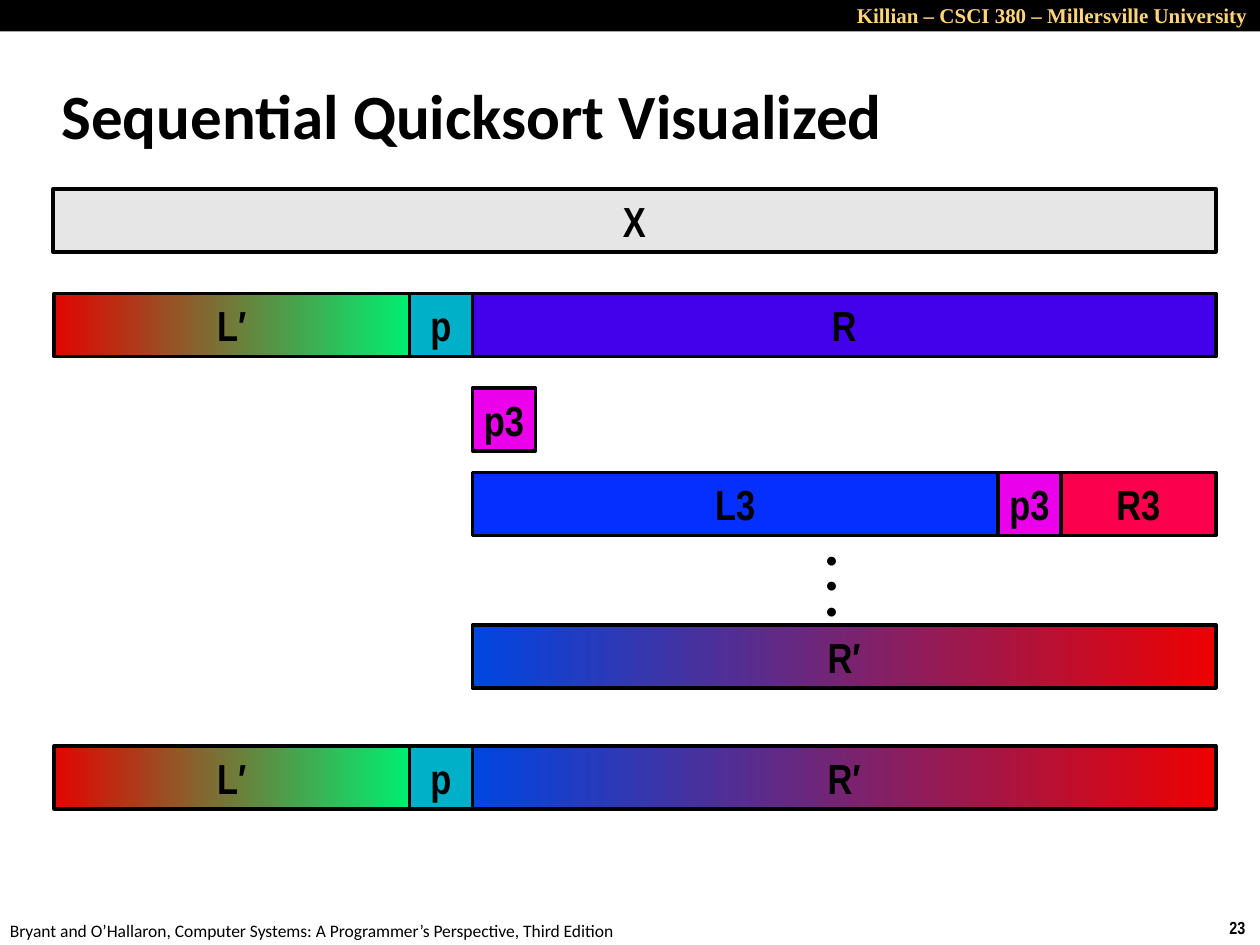
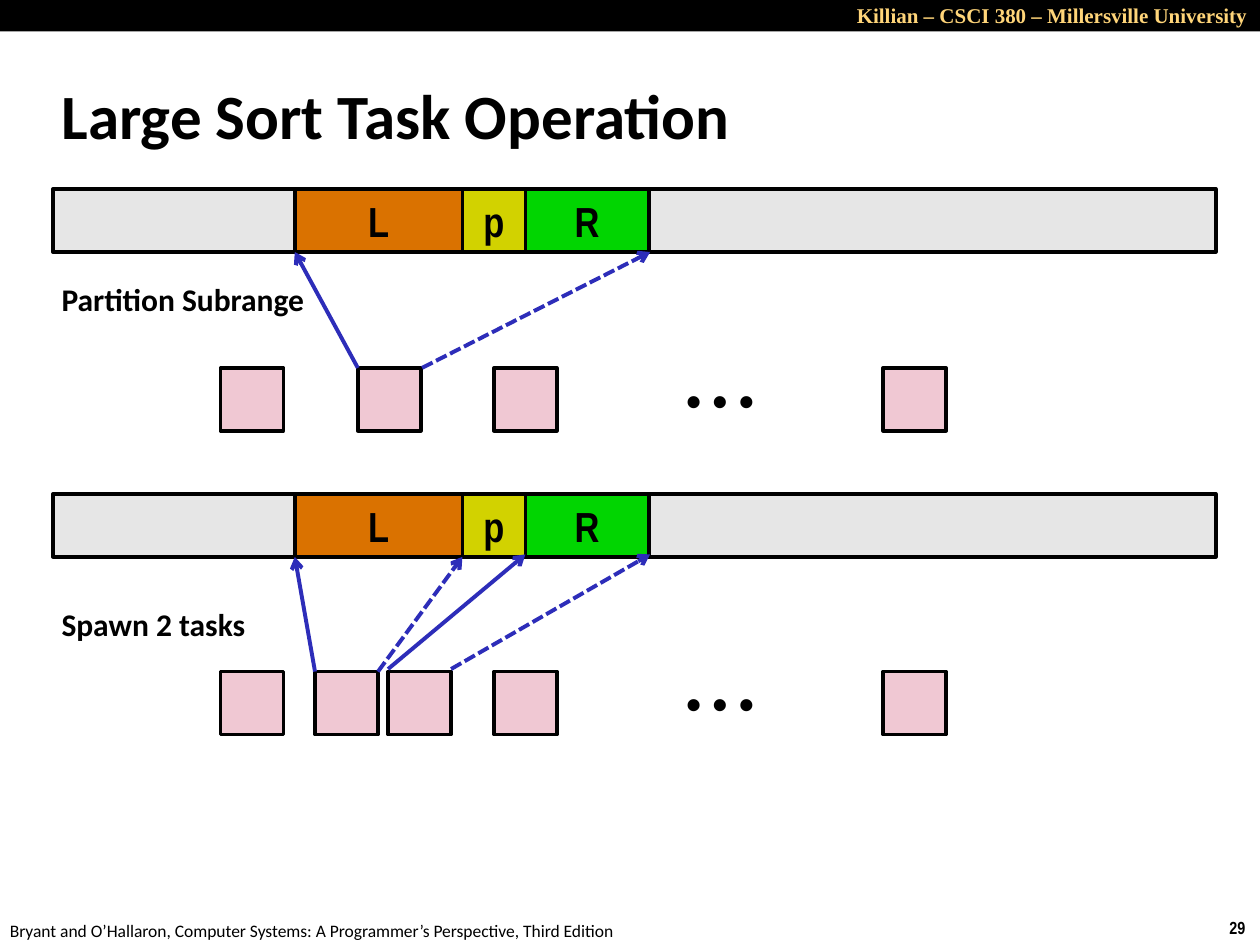
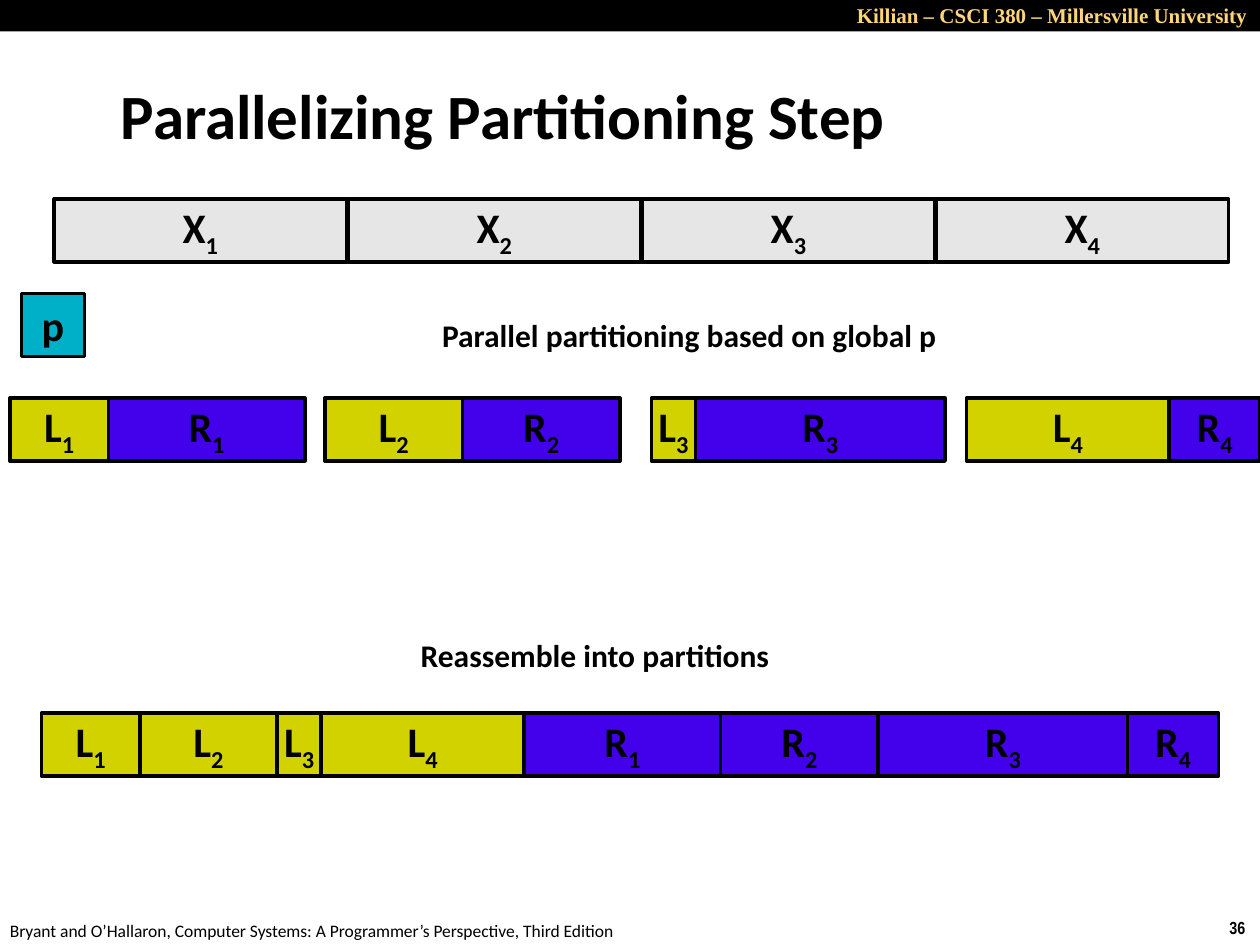
from dataclasses import dataclass
from itertools import chain

from lxml.etree import SubElement
from pptx import Presentation
from pptx.dml.color import RGBColor
from pptx.enum.dml import MSO_LINE
from pptx.enum.shapes import MSO_CONNECTOR, MSO_SHAPE
from pptx.enum.text import MSO_ANCHOR, MSO_AUTO_SIZE, PP_ALIGN
from pptx.oxml.ns import qn
from pptx.util import Inches, Pt


@dataclass(frozen=True)
class Theme:
    """Colours, fonts and sizes shared by the slides."""

    black: str = "000000"
    gold: str = "FFD579"
    grey: str = "E6E6E6"
    pink: str = "F0C8D3"
    teal: str = "00B0C8"
    violet: str = "4300EA"
    magenta: str = "EA00EA"
    blue: str = "052FFF"
    crimson: str = "FA004D"
    orange: str = "DA7200"
    yellow: str = "D2D200"
    green: str = "01D501"
    arrow: str = "2D2DB9"
    sorted_left: tuple = ("E10601", "00EE71")
    sorted_right: tuple = ("0046E2", "ED0101")
    body: str = "Calibri"
    narrow: str = "Arial Narrow"
    serif: str = "Times New Roman"
    sans: str = "Arial"
    title_size: int = 36
    label_size: int = 24
    caption_size: int = 18
    header_size: int = 12
    footer_size: int = 10
    outline: float = 2
    arrow_width: float = 2.25


@dataclass(frozen=True)
class Box:
    """A rectangle in inches."""

    left: float
    top: float
    width: float
    height: float

    def inner(self, left, top, width, height):
        """Return a box placed relative to this one."""
        return Box(self.left + left, self.top + top, width, height)

    def lengths(self):
        """Return the four lengths that shape methods expect."""
        return [Inches(value) for value in (self.left, self.top, self.width, self.height)]


THEME = Theme()
SLIDE = Box(0, 0, 10, 7.5)
CELL = 0.5
BAR_WIDTH = 9.23
LEFT_WIDTHS = [0.78, 1.09, 0.35, 1.61]
RIGHT_WIDTHS = [1.56, 1.25, 1.98, 0.72]


def assign(target, values):
    """Set every attribute named in a dict of format values."""
    for name, value in values.items():
        setattr(target, name, value)


def write(shape, lines, font, size, color=THEME.black, bold=True, align=None, frame=None):
    """Write lines of text, lowering what follows an underscore."""
    assign(shape.text_frame, {"word_wrap": False, **(frame or {})})
    for index, line in enumerate(lines):
        para = shape.text_frame.add_paragraph() if index else shape.text_frame.paragraphs[0]
        para.alignment = align
        base, _, subscript = line.partition("_")
        for text, lowered in ((base, False), (subscript, True)):
            if text:
                span = para.add_run()
                span.text = text
                assign(span.font, {"name": font, "size": Pt(size), "bold": bold})
                span.font.color.rgb = RGBColor.from_string(color)
                if lowered:
                    span.font._element.set("baseline", "-25000")


def add_text(page, box, lines, font, size, grow=True, **style):
    """Add a text box that fits its text."""
    shape = page.shapes.add_textbox(*box.lengths())
    frame = style.pop("frame", {})
    if grow:
        frame = {"auto_size": MSO_AUTO_SIZE.SHAPE_TO_FIT_TEXT, **frame}
    write(shape, lines, font, size, frame=frame, **style)


def add_cell(page, box, fill, label="", font=THEME.narrow, outlined=True):
    """Add a rectangle with a plain or two-colour fill and a centred label."""
    cell = page.shapes.add_shape(MSO_SHAPE.RECTANGLE, *box.lengths())
    cell.shadow.inherit = False
    if isinstance(fill, tuple):
        cell.fill.gradient()
        cell.fill.gradient_angle = 0
        for stop, color, position in zip(cell.fill.gradient_stops, fill, (0, 1)):
            stop.color.rgb = RGBColor.from_string(color)
            stop.position = position
    else:
        cell.fill.solid()
        cell.fill.fore_color.rgb = RGBColor.from_string(fill)
    if outlined:
        cell.line.color.rgb = RGBColor.from_string(THEME.black)
        cell.line.width = Pt(THEME.outline)
    else:
        cell.line.fill.background()
    if label:
        write(cell, [label], font, THEME.label_size, align=PP_ALIGN.CENTER,
              frame={"vertical_anchor": MSO_ANCHOR.MIDDLE})


def add_row(page, box, cells, font=THEME.narrow):
    """Lay cells of (label, width, fill) side by side from the left of the box."""
    offset = 0
    for label, width, fill in cells:
        add_cell(page, box.inner(offset, 0, width, CELL), fill, label, font)
        offset += width


def add_arrow(page, start, end, dashed):
    """Add an arrow between two points."""
    arrow = page.shapes.add_connector(
        MSO_CONNECTOR.STRAIGHT, *[Inches(value) for value in (*start, *end)])
    arrow.line.color.rgb = RGBColor.from_string(THEME.arrow)
    arrow.line.width = Pt(THEME.arrow_width)
    if dashed:
        arrow.line.dash_style = MSO_LINE.SQUARE_DOT
    SubElement(arrow.line._get_or_add_ln(), qn("a:tailEnd"), type="arrow")
    SubElement(arrow._element.spPr, qn("a:effectLst"))


def add_caption(page, box, text):
    """Add a bold caption."""
    add_text(page, box, [text], THEME.body, THEME.caption_size)


def add_page(deck, box, title, number, title_left=0.39):
    """Add a slide with header band, title, footer and number."""
    page = deck.slides.add_slide(deck.slide_layouts[6])
    add_cell(page, box.inner(0, 0, box.width, 0.25), THEME.black, outlined=False)
    add_text(page, box.inner(4.5, -0.03, 5.5, 0.3),
             ["Killian – CSCI 380 – Millersville University"], THEME.serif, THEME.header_size,
             color=THEME.gold, align=PP_ALIGN.RIGHT, frame={"word_wrap": True})
    add_text(page, box.inner(title_left, 0.49, 8.3, 0.83), [title], THEME.body,
             THEME.title_size, grow=False,
             frame={"word_wrap": True, "vertical_anchor": MSO_ANCHOR.MIDDLE})
    add_text(page, box.inner(-0.02, 7.25, 5.08, 0.27),
             ["Bryant and O’Hallaron, Computer Systems: A Programmer’s Perspective, Third Edition"],
             THEME.body, THEME.footer_size, bold=False)
    add_text(page, box.inner(9.66, 7.23, 0.34, 0.27), [str(number)],
             THEME.narrow, THEME.footer_size)
    return page


def draw_quicksort(page, box):
    """Draw the stages of a sequential quicksort."""
    left = ("L′", 2.82, THEME.sorted_left)
    pivot = ("p", CELL, THEME.teal)
    right = ("R′", 5.9, THEME.sorted_right)
    third = ("p3", CELL, THEME.magenta)
    stages = [
        (0, 0, [("X", BAR_WIDTH, THEME.grey)]),
        (0.01, 0.83, [left, pivot, ("R", 5.9, THEME.violet)]),
        (3.33, 1.58, [third]),
        (3.33, 2.25, [("L3", 4.17, THEME.blue), third, ("R3", 1.23, THEME.crimson)]),
        (3.33, 3.46, [right]),
        (0.01, 4.42, [left, pivot, right]),
    ]
    for offset, drop, cells in stages:
        add_row(page, box.inner(offset, drop, BAR_WIDTH, CELL), cells)
    add_text(page, box.inner(6.04, 2.79, 0.28, 0.71), ["•"] * 3, THEME.body, THEME.header_size)


def draw_task_stage(page, box, workers, arrows, caption, caption_drop):
    """Draw an array, the workers under it and arrows of (start, end, lift, dashed)."""
    worker_top = box.height - CELL
    add_cell(page, box.inner(0, 0, box.width, CELL), THEME.grey)
    add_row(page, box.inner(1.92, 0, 2.81, CELL),
            [("L", 1.33, THEME.orange), ("p", CELL, THEME.yellow), ("R", 0.98, THEME.green)])
    for worker in workers:
        add_cell(page, box.inner(worker, worker_top, CELL, CELL), THEME.pink)
    add_text(page, box.inner(4, worker_top, 2.59, CELL), ["• • •"], THEME.sans,
             THEME.label_size, grow=False, align=PP_ALIGN.CENTER,
             frame={"vertical_anchor": MSO_ANCHOR.MIDDLE})
    for start, end, lift, dashed in arrows:
        add_arrow(page, (box.left + start, box.top + worker_top - lift),
                  (box.left + end, box.top + CELL - lift), dashed)
    add_caption(page, box.inner(-0.03, caption_drop, 2.17, 0.4), caption)


def draw_partitioning(page, box):
    """Draw blocks, their local partitions and the reassembled array."""
    lefts = [(f"L_{index}", width, THEME.yellow) for index, width in enumerate(LEFT_WIDTHS, 1)]
    rights = [(f"R_{index}", width, THEME.violet) for index, width in enumerate(RIGHT_WIDTHS, 1)]
    for index in range(4):
        add_cell(page, box.inner(0.43 + index * 7 / 3, 0, 2.32, CELL), THEME.grey,
                 f"X_{index + 1}", THEME.body)
    add_cell(page, box.inner(0.17, 0.75, CELL, CELL), THEME.teal, "p", THEME.body)
    add_caption(page, box.inner(3.41, 0.88, 4.18, 0.4), "Parallel partitioning based on global p")
    for offset, pair in zip((0.08, 2.58, 5.17, 7.67), zip(lefts, rights)):
        add_row(page, box.inner(offset, 1.58, 2.34, CELL), pair, THEME.body)
    add_caption(page, box.inner(3.24, 3.42, 3.01, 0.4), "Reassemble into partitions")
    add_row(page, box.inner(0.33, 4.08, 9.34, CELL), chain(lefts, rights), THEME.body)


def main():
    """Build and save the deck."""
    deck = Presentation()
    assign(deck, {"slide_width": Inches(SLIDE.width), "slide_height": Inches(SLIDE.height)})

    page = add_page(deck, SLIDE, "Sequential Quicksort Visualized", 23)
    draw_quicksort(page, Box(0.42, 1.5, BAR_WIDTH, 4.92))

    page = add_page(deck, SLIDE, "Large Sort Task Operation", 29)
    draw_task_stage(page, Box(0.42, 1.5, BAR_WIDTH, 1.92), [1.33, 2.42, 3.5, 6.59],
                    [(2.93, 4.74, 0, True), (2.42, 1.92, 0, False)],
                    "Partition Subrange", 0.67)
    draw_task_stage(page, Box(0.42, 3.92, BAR_WIDTH, 1.91), [1.33, 2.08, 2.66, 3.5, 6.59],
                    [(2.58, 3.25, 0, True), (2.08, 1.92, 0, False),
                     (3.16, 4.74, 0.02, True), (2.66, 3.75, 0.02, False)],
                    "Spawn 2 tasks", 0.83)

    page = add_page(deck, SLIDE, "Parallelizing Partitioning Step", 36, title_left=0.86)
    draw_partitioning(page, Box(0, 1.58, SLIDE.width, 4.58))

    deck.save("out.pptx")


if __name__ == "__main__":
    main()
